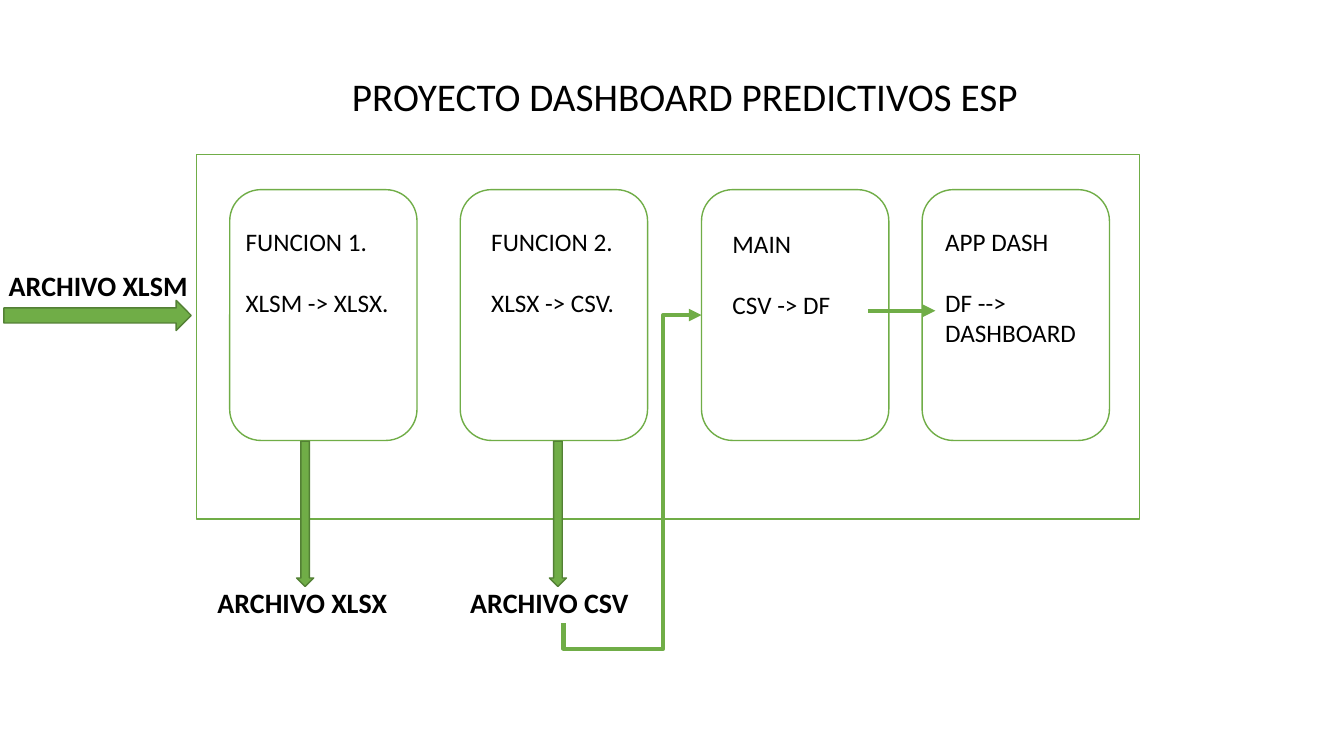
from lxml import etree
from pptx import Presentation
from pptx.dml.color import RGBColor
from pptx.enum.shapes import MSO_CONNECTOR, MSO_SHAPE
from pptx.enum.text import MSO_ANCHOR, PP_ALIGN
from pptx.oxml.ns import qn
from pptx.util import Cm, Pt

GREEN = RGBColor(0x70, 0xAD, 0x47)
DARK_GREEN = RGBColor(0x53, 0x80, 0x35)
WHITE = RGBColor(0xFF, 0xFF, 0xFF)
BLACK = RGBColor(0x00, 0x00, 0x00)
RECT, ROUNDED, ARROW = MSO_SHAPE.RECTANGLE, MSO_SHAPE.ROUNDED_RECTANGLE, MSO_SHAPE.RIGHT_ARROW
STRAIGHT, ELBOW = MSO_CONNECTOR.STRAIGHT, MSO_CONNECTOR.ELBOW
TOP, LEFT, CENTER = MSO_ANCHOR.TOP, PP_ALIGN.LEFT, PP_ALIGN.CENTER

FONT = "Calibri"
CARD_W, CARD_H = 4.72, 6.32
STEM_LENGTH, STEM_W = 3.66, 0.43
LABEL_W, LABEL_H = 5.16, 1.12

# card x, text x, text y, text width, lines, stem x, output label
STEPS = [
    (0.84, 0.15, 0.79, 4.7, ["FUNCION 1.", "XLSM -> XLSX."], 1.9, "ARCHIVO XLSX"),
    (6.65, 0.53, 0.79, 3.66, ["FUNCION 2.", "XLSX -> CSV."], 2.46, "ARCHIVO CSV"),
    (12.73, 0.53, 0.84, 3.66, ["MAIN", "CSV -> DF"], None, None),
    (18.29, 0.33, 0.79, 4.11, ["APP DASH", "DF --> DASHBOARD"], None, None),
]


def add_box(s, kind, x, y, w, h, fill=WHITE, line=GREEN):
    """Add a filled, outlined shape without shadow."""
    sp = s.shapes.add_shape(kind, Cm(x), Cm(y), Cm(w), Cm(h))
    sp.shadow.inherit = False
    sp.fill.solid()
    sp.fill.fore_color.rgb = fill
    sp.line.color.rgb = line
    sp.line.width = Pt(1)
    return sp


def write(sp, lines, size, bold=False, align=LEFT):
    """Write lines as paragraphs, one line height apart."""
    tf = sp.text_frame
    tf.word_wrap = True
    tf.vertical_anchor = TOP
    for i, line in enumerate(lines):
        p = tf.add_paragraph() if i else tf.paragraphs[0]
        p.alignment = align
        p.line_spacing = 1.0
        p.space_before = Pt(size * 1.22 if i else 0)
        r = p.add_run()
        r.text = line
        r.font.name = FONT
        r.font.size = Pt(size)
        r.font.bold = bold
        r.font.color.rgb = BLACK


def add_text(s, x, y, w, h, lines, size, bold=False):
    """Add a wrapping text box."""
    write(s.shapes.add_textbox(Cm(x), Cm(y), Cm(w), Cm(h)), lines, size, bold)


def add_link(s, kind, x1, y1, x2, y2):
    """Add a green connector ending in a triangle."""
    c = s.shapes.add_connector(kind, Cm(x1), Cm(y1), Cm(x2), Cm(y2))
    c.line.color.rgb = GREEN
    c.line.width = Pt(3)
    etree.SubElement(c.line._get_or_add_ln(), qn("a:tailEnd"), type="triangle")
    etree.SubElement(c._element.spPr, qn("a:effectLst"))
    return c


def add_title(s, x, y, w, h):
    """Place the heading in the title placeholder."""
    sp = s.shapes.title
    sp.left, sp.top, sp.width, sp.height = Cm(x), Cm(y), Cm(w), Cm(h)
    write(sp, ["PROYECTO DASHBOARD PREDICTIVOS ESP"], 28, align=CENTER)


def add_input(s, x, y):
    """Draw the incoming file label above its arrow."""
    add_box(s, ARROW, x + 0.13, y + 0.94, 4.72, 0.76, GREEN, DARK_GREEN)
    add_text(s, x, y, LABEL_W, LABEL_H, ["ARCHIVO XLSM"], 20, True)


def add_output(s, x, y, label):
    """Draw a downward arrow centred on x and the file it produces."""
    sp = add_box(s, ARROW, x - STEM_LENGTH / 2, y + (STEM_LENGTH - STEM_W) / 2,
                 STEM_LENGTH, STEM_W, GREEN, DARK_GREEN)
    sp.rotation = 90
    add_text(s, x - 2.46, y + 3.51, LABEL_W, LABEL_H, [label], 20, True)


def add_csv_link(s, x, y):
    """Route the CSV file up to the main card from x, y."""
    w, h = 7.77, 3.48
    left, top = x + (h - w) / 2, y - (w + h) / 2
    c = add_link(s, ELBOW, left + w, top + h, left, top)
    c._element.spPr.find(qn("a:xfrm")).set("rot", "5400000")
    geom = c._element.spPr.find(qn("a:prstGeom"))
    geom.set("prst", "bentConnector4")
    guides = geom.find(qn("a:avLst"))
    if guides is None:
        guides = etree.SubElement(geom, qn("a:avLst"))
    for name, value in (("adj1", -8200), ("adj2", 72300)):
        etree.SubElement(guides, qn("a:gd"), name=name, fmla=f"val {value}")


def add_process(s, x, y, w, h):
    """Draw the process frame with its cards, outputs and links."""
    add_box(s, RECT, x, y, w, h)
    card_y = y + 0.89
    for dx, text_x, text_y, text_w, lines, stem_x, label in STEPS:
        card_x = x + dx
        add_box(s, ROUNDED, card_x, card_y, CARD_W, CARD_H)
        add_text(s, card_x + text_x, card_y + text_y, text_w, 2.57, lines, 18)
        if label:
            add_output(s, card_x + stem_x, card_y + CARD_H + 0.02, label)
    add_csv_link(s, x + 9.25, y + 11.82)
    add_link(s, STRAIGHT, x + 16.92, y + 3.94, x + 18.62, y + 3.94)


def main():
    """Build and save the presentation."""
    prs = Presentation()
    prs.slide_width, prs.slide_height = Cm(33.87), Cm(19.05)
    s = prs.slides.add_slide(prs.slide_layouts[5])
    add_title(s, 3.35, 1.7, 27.81, 1.45)
    add_process(s, 4.95, 3.89, 23.77, 9.19)
    add_input(s, -0.03, 6.63)
    prs.save("out.pptx")


main()
